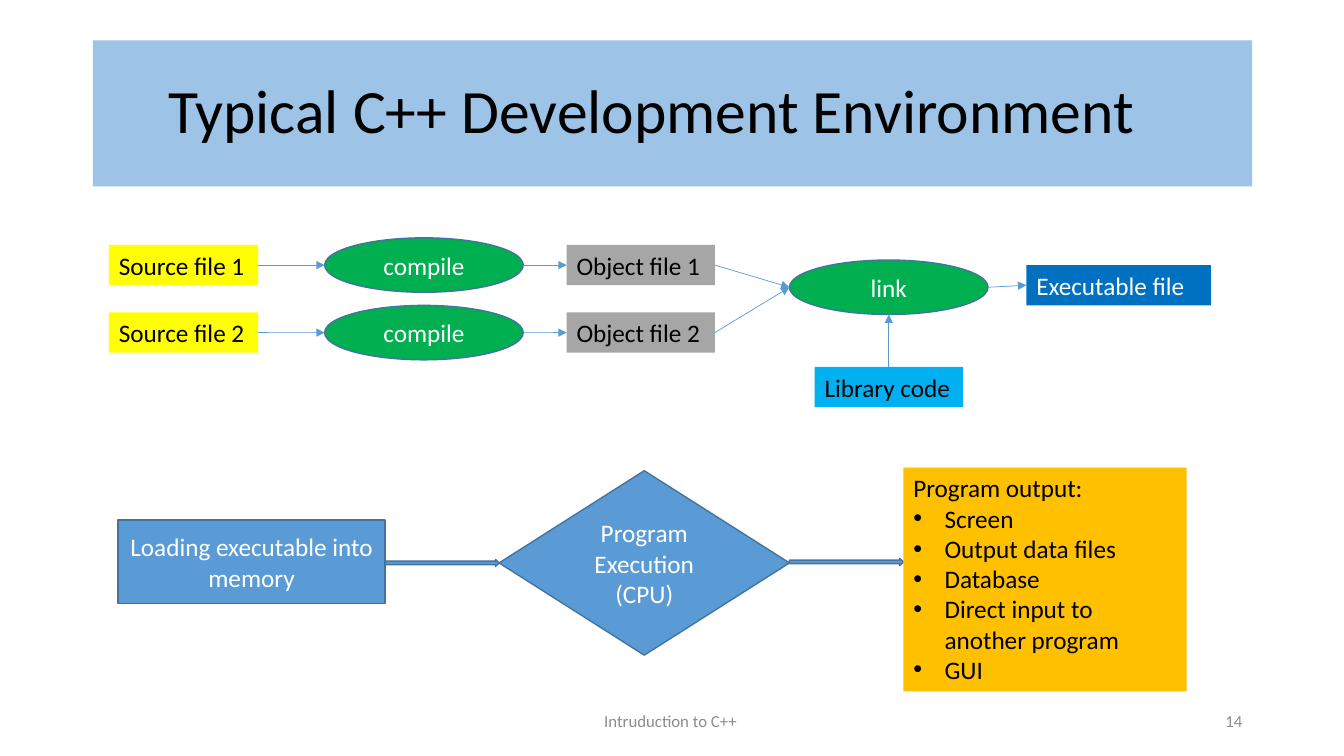
from lxml.etree import SubElement
from pptx import Presentation
from pptx.dml.color import RGBColor
from pptx.enum.shapes import MSO_CONNECTOR, MSO_SHAPE
from pptx.enum.text import MSO_ANCHOR, MSO_AUTO_SIZE, PP_ALIGN
from pptx.oxml.ns import qn
from pptx.util import Inches, Pt

BLACK = RGBColor(0x00, 0x00, 0x00)
WHITE = RGBColor(0xFF, 0xFF, 0xFF)
GRAY_TEXT = RGBColor(0x8C, 0x8C, 0x8C)
TITLE_BLUE = RGBColor(0x9D, 0xC3, 0xE6)
YELLOW = RGBColor(0xFF, 0xFF, 0x00)
GREEN = RGBColor(0x00, 0xB0, 0x50)
GRAY = RGBColor(0xA6, 0xA6, 0xA6)
DARK_BLUE = RGBColor(0x00, 0x70, 0xC0)
SKY_BLUE = RGBColor(0x00, 0xB0, 0xF0)
BLUE = RGBColor(0x5B, 0x9B, 0xD5)
OUTLINE = RGBColor(0x43, 0x73, 0x9E)
ORANGE = RGBColor(0xFF, 0xC0, 0x00)

LABEL_HEIGHT = 0.4
OVAL_SIZE = (1.97, 0.54)


def add_text(para, text, color, size=18):
    span = para.add_run()
    span.text = text
    span.font.name = "Calibri"
    span.font.size = Pt(size)
    span.font.color.rgb = color


def place(shape, box):
    shape.left, shape.top, shape.width, shape.height = map(Inches, box)


def add_block(page, kind, box, fill, outlined=False):
    block = page.shapes.add_shape(kind, *map(Inches, box))
    block.shadow.inherit = False
    block.fill.solid()
    block.fill.fore_color.rgb = fill
    if outlined:
        block.line.color.rgb = OUTLINE
        block.line.width = Pt(1)
    else:
        block.line.fill.background()
    return block


def add_step(page, kind, box, fill, text):
    """Outlined shape with centred white text."""
    step = add_block(page, kind, box, fill, outlined=True)
    step.text_frame.vertical_anchor = MSO_ANCHOR.MIDDLE
    para = step.text_frame.paragraphs[0]
    para.alignment = PP_ALIGN.CENTER
    add_text(para, text, WHITE)
    return step


def add_label(page, box, fill, text, color=BLACK):
    """Plain filled rectangle with text from the top left."""
    label = add_block(page, MSO_SHAPE.RECTANGLE, box, fill)
    label.text_frame.vertical_anchor = MSO_ANCHOR.TOP
    para = label.text_frame.paragraphs[0]
    para.alignment = PP_ALIGN.LEFT
    add_text(para, text, color)
    return label


def add_arrow(page, start, end):
    arrow = page.shapes.add_connector(MSO_CONNECTOR.STRAIGHT, *start, *end)
    arrow.line.color.rgb = BLUE
    arrow.line.width = Pt(0.5)
    SubElement(arrow.line._get_or_add_ln(), qn("a:tailEnd"), type="triangle")
    SubElement(arrow._element.spPr, qn("a:effectLst"))


def join_sides(page, source, target):
    """Arrow from the right edge of one shape to the left edge of another."""
    add_arrow(page,
              (source.left + source.width, source.top + source.height // 2),
              (target.left, target.top + target.height // 2))


def add_title(page, box):
    title = page.shapes.title
    place(title, box)
    title.fill.solid()
    title.fill.fore_color.rgb = TITLE_BLUE
    frame = title.text_frame
    frame.word_wrap = True
    frame.auto_size = MSO_AUTO_SIZE.NONE
    frame.vertical_anchor = MSO_ANCHOR.MIDDLE
    para = frame.paragraphs[0]
    para.alignment = PP_ALIGN.CENTER
    para.line_spacing = 0.9
    add_text(para, "Typical C++ Development Environment\t", BLACK, 44)


def add_build_flow(page, left, top):
    label_top = top + (OVAL_SIZE[1] - LABEL_HEIGHT) / 2

    # Linking and its results
    link = add_step(page, MSO_SHAPE.OVAL, (left + 6.75, top + 0.22, *OVAL_SIZE),
                    GREEN, "link")
    executable = add_label(page, (left + 9.1, top + 0.27, 1.83, LABEL_HEIGHT),
                           DARK_BLUE, "Executable file", WHITE)
    library = add_label(page, (left + 7, top + 1.28, 1.47, LABEL_HEIGHT),
                        SKY_BLUE, "Library code")
    join_sides(page, link, executable)
    center = library.left + library.width // 2
    add_arrow(page, (center, library.top), (center, link.top + link.height))

    # One row per source file
    for row in range(2):
        shift = row * 0.67
        source = add_label(page, (left, label_top + shift, 1.48, LABEL_HEIGHT),
                           YELLOW, f"Source file {row + 1}")
        compiler = add_step(page, MSO_SHAPE.OVAL,
                            (left + 2.14, top + shift, *OVAL_SIZE), GREEN, "compile")
        target = add_label(page, (left + 4.54, label_top + shift, 1.47, LABEL_HEIGHT),
                           GRAY, f"Object file {row + 1}")
        join_sides(page, source, compiler)
        join_sides(page, compiler, target)
        join_sides(page, target, link)


def add_run_flow(page, left, top):
    # Loading and execution
    add_step(page, MSO_SHAPE.RECTANGLE, (left, top + 0.52, 2.65, 0.83), BLUE,
             "Loading executable into memory")
    add_step(page, MSO_SHAPE.DIAMOND, (left + 3.78, top + 0.03, 2.88, 1.83), BLUE,
             "Program Execution (CPU)")
    for arrow_left, arrow_top in ((2.65, 0.91), (6.66, 0.9)):
        add_block(page, MSO_SHAPE.RIGHT_ARROW,
                  (left + arrow_left, top + arrow_top, 1.13, 0.07), BLUE, outlined=True)

    # Output list
    output = add_label(page, (left + 7.79, top, 2.81, 2.22), ORANGE, "Program output:")
    for item in ("Screen", "Output data files", "Database",
                 "Direct input to another program", "GUI"):
        para = output.text_frame.add_paragraph()
        para.alignment = PP_ALIGN.LEFT
        properties = para._p.get_or_add_pPr()
        properties.set("marL", str(Inches(0.31)))
        properties.set("indent", str(-Inches(0.31)))
        SubElement(properties, qn("a:buFont"), typeface="Arial")
        SubElement(properties, qn("a:buChar"), char="•")
        add_text(para, item, BLACK)


def add_footer(page, box, text, alignment):
    footer = page.shapes.add_textbox(*map(Inches, box))
    footer.text_frame.word_wrap = True
    footer.text_frame.vertical_anchor = MSO_ANCHOR.MIDDLE
    para = footer.text_frame.paragraphs[0]
    para.alignment = alignment
    add_text(para, text, GRAY_TEXT, 12)


def main():
    deck = Presentation()
    deck.slide_width, deck.slide_height = Inches(13.33), Inches(7.5)
    page = deck.slides.add_slide(deck.slide_layouts[5])
    add_title(page, (0.92, 0.4, 11.5, 1.45))
    add_build_flow(page, 1.08, 2.36)
    add_run_flow(page, 1.17, 4.64)
    add_footer(page, (4.42, 6.95, 4.5, 0.4), "Intruduction to C++ ", PP_ALIGN.CENTER)
    add_footer(page, (9.42, 6.95, 3, 0.4), "14", PP_ALIGN.RIGHT)
    deck.save("out.pptx")


if __name__ == "__main__":
    main()
